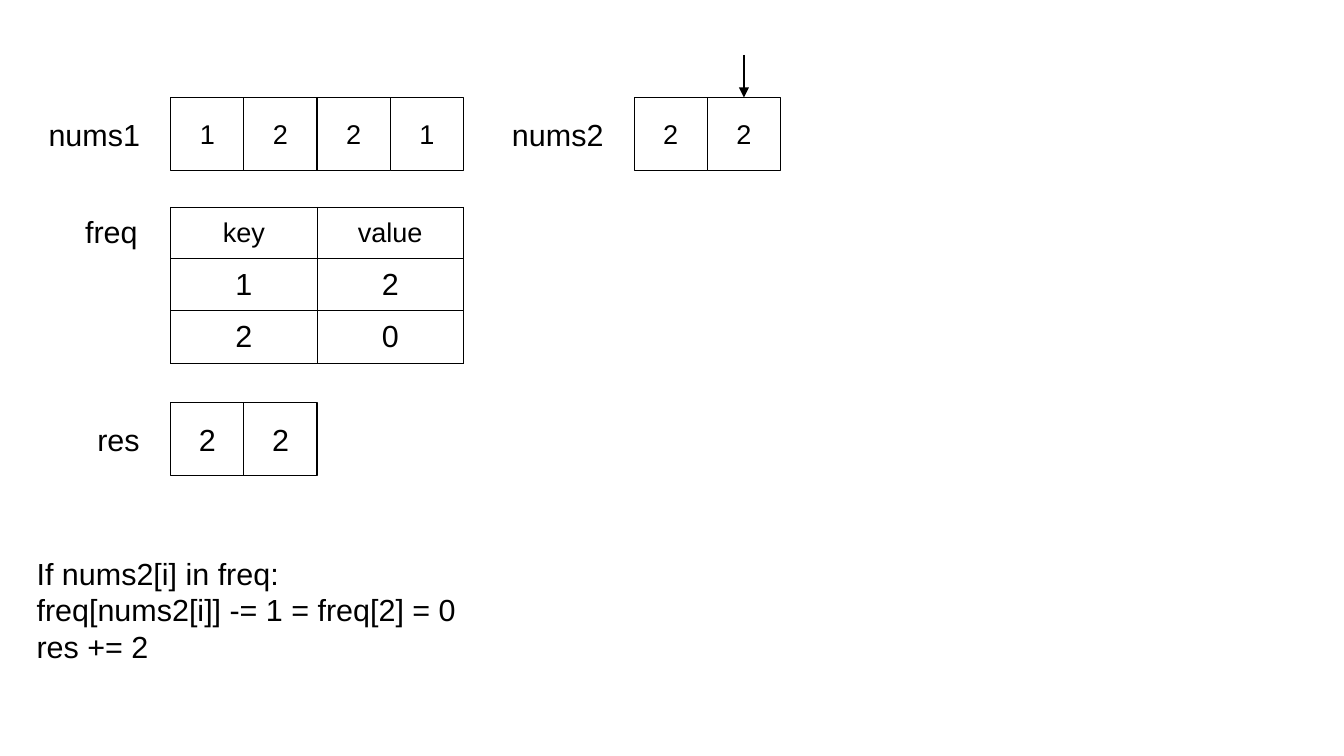
"""Draw the frequency-map step of intersecting two number arrays."""
from collections import namedtuple

from lxml.etree import SubElement
from pptx import Presentation
from pptx.dml.color import RGBColor
from pptx.enum.shapes import MSO_CONNECTOR, MSO_SHAPE
from pptx.enum.text import MSO_ANCHOR, MSO_AUTO_SIZE, PP_ALIGN
from pptx.oxml import parse_xml
from pptx.oxml.ns import nsdecls, qn
from pptx.util import Inches, Pt

Theme = namedtuple("Theme", "font ink paper small large stroke")
theme = Theme("Arial", RGBColor(0, 0, 0), RGBColor(255, 255, 255), Pt(16), Pt(18), Pt(0.75))
CELL = 6


def grid(*units):
    """Turn tenth-of-an-inch grid units into lengths."""
    return [Inches(unit / 10) for unit in units]


def write(frame, text, size, align=PP_ALIGN.LEFT):
    """Fill a text frame and format every line."""
    frame.text = text
    for paragraph in frame.paragraphs:
        paragraph.alignment = align
        paragraph.space_before = Pt(0)
        for run in paragraph.runs:
            run.font.name, run.font.size = theme.font, size
            run.font.color.rgb = theme.ink


deck = Presentation()
deck.slide_width, deck.slide_height = grid(110.2, 62)
slide = deck.slides.add_slide(deck.slide_layouts[1])
title, steps = slide.placeholders
title.element.getparent().remove(title.element)

steps.left, steps.top, steps.width, steps.height = grid(2, 45, 106, 9)
write(steps.text_frame, "If nums2[i] in freq:\nfreq[nums2[i]] -= 1 = freq[2] = 0\nres += 2", theme.large)
steps.text_frame.auto_size = MSO_AUTO_SIZE.NONE
for step in steps.text_frame.paragraphs:
    properties = step._p.get_or_add_pPr()
    properties.set("marL", "0")
    properties.set("indent", "0")
    SubElement(properties, qn("a:buNone"))

arrays = [
    (14, 8, "1221", theme.small),
    (52, 8, "22", theme.small),
    (14, 33, "22", theme.large),
]
for left, top, numbers, size in arrays:
    for index, number in enumerate(numbers):
        box = slide.shapes.add_shape(
            MSO_SHAPE.RECTANGLE, *grid(left + index * CELL, top, CELL, CELL))
        box.shadow.inherit = False
        box.fill.solid()
        box.fill.fore_color.rgb = theme.paper
        box.line.color.rgb = theme.ink
        box.line.width = theme.stroke
        box.text_frame.vertical_anchor = MSO_ANCHOR.MIDDLE
        box.text_frame.word_wrap = False
        write(box.text_frame, number, size, PP_ALIGN.CENTER)

labels = [("nums1", 3, 9, 10), ("nums2", 41, 9, 10), ("freq", 6, 17, 7), ("res", 7, 34, 6)]
for name, left, top, width in labels:
    label = slide.shapes.add_textbox(*grid(left, top, width, 4))
    label.text_frame.word_wrap = True
    write(label.text_frame, name, theme.large)

entries = [("key", "value"), ("1", "2"), ("2", "0")]
freq = slide.shapes.add_table(3, 2, *grid(14, 17, 4 * CELL, 12.8)).table
freq.first_row = freq.horz_banding = False
for row, height, entry in zip(freq.rows, grid(4.2, 4.3, 4.3), entries):
    row.height = height
    for cell, text in zip(row.cells, entry):
        cell.vertical_anchor = MSO_ANCHOR.MIDDLE
        size = theme.small if entry == entries[0] else theme.large
        write(cell.text_frame, text, size, PP_ALIGN.CENTER)
        borders = cell._tc.get_or_add_tcPr()
        for side in ("lnL", "lnR", "lnT", "lnB"):
            borders.append(parse_xml(
                f'<a:{side} {nsdecls("a")} w="{theme.stroke}"><a:solidFill>'
                f'<a:srgbClr val="{theme.ink}"/></a:solidFill></a:{side}>'))
        cell.fill.solid()
        cell.fill.fore_color.rgb = theme.paper

pointer = slide.shapes.add_connector(MSO_CONNECTOR.STRAIGHT, *grid(61, 4.5, 61, 8))
pointer.line.color.rgb = theme.ink
pointer.line.width = theme.stroke
SubElement(pointer.line._get_or_add_ln(), qn("a:tailEnd"), type="triangle")
SubElement(pointer._element.spPr, qn("a:effectLst"))

deck.save("out.pptx")
